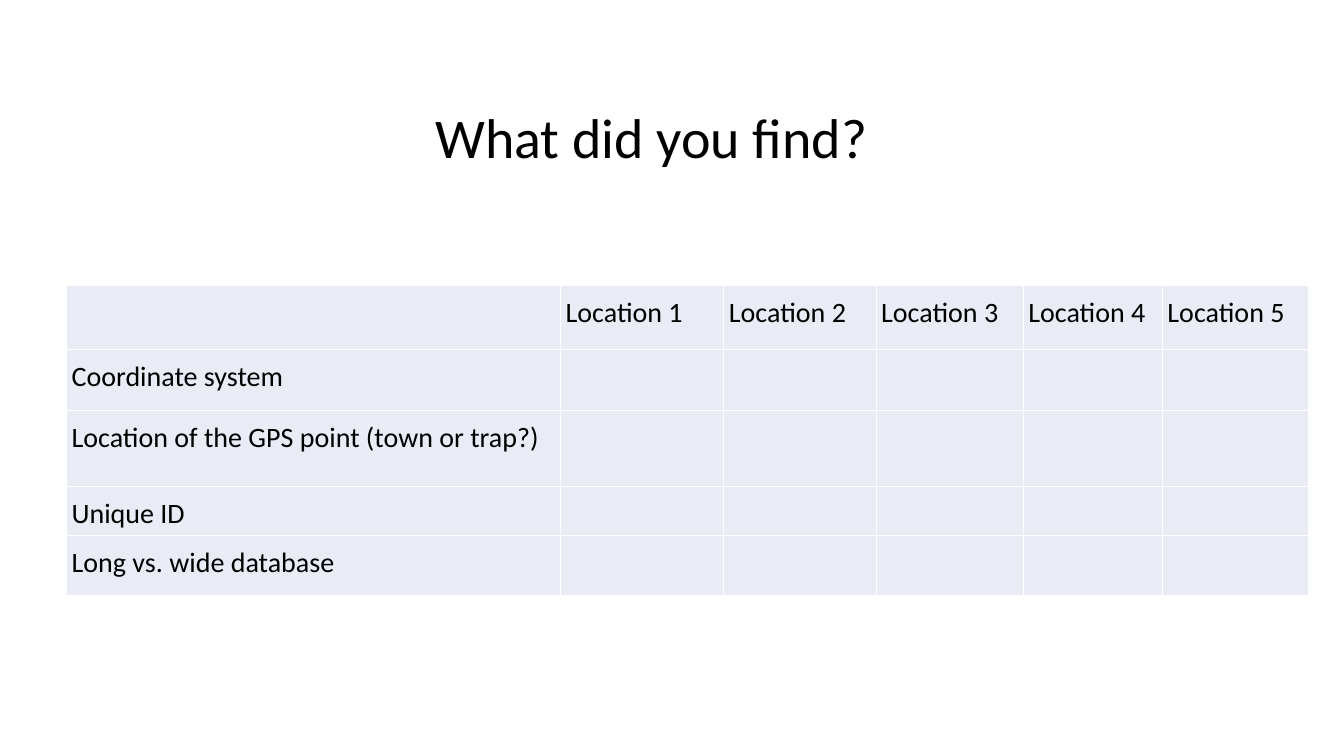
from dataclasses import dataclass

from lxml import etree
from pptx import Presentation
from pptx.dml.color import RGBColor
from pptx.enum.text import MSO_ANCHOR, MSO_AUTO_SIZE, PP_ALIGN
from pptx.oxml.ns import qn
from pptx.slide import Slide
from pptx.table import _Cell
from pptx.text.text import TextFrame
from pptx.util import Emu, Pt

LEFT = PP_ALIGN.LEFT
TOP = MSO_ANCHOR.TOP
GROW = MSO_AUTO_SIZE.SHAPE_TO_FIT_TEXT

BLACK = RGBColor(0x00, 0x00, 0x00)
WHITE = RGBColor(0xFF, 0xFF, 0xFF)
PALE = RGBColor(0xE9, 0xEB, 0xF5)

FONT = "Calibri"
SCALE = 9144
INSET = 5


@dataclass(frozen=True)
class Column:
    head: str
    width: int


@dataclass(frozen=True)
class Row:
    label: str
    height: int


COLUMNS = [Column("", 490)] + [
    Column(f"Location {number}", width)
    for number, width in enumerate((162, 151, 146, 138, 145), start=1)
]
ROWS = [
    Row("", 64),
    Row("Coordinate system", 60),
    Row("Location of the GPS point (town or trap?)", 76),
    Row("Unique ID", 47),
    Row("Long vs. wide database", 60),
]


def px(count: int) -> Emu:
    return Emu(count * SCALE)


def write(frame: TextFrame, text: str, *, size: int, spacing: float = 1.0) -> None:
    frame.text = text
    line = frame.paragraphs[0]
    line.alignment = LEFT
    line.line_spacing = spacing
    line.font.name = FONT
    line.font.size = Pt(size)
    line.font.bold = False
    line.font.color.rgb = BLACK


def border(cell: _Cell) -> None:
    props = cell._tc.get_or_add_tcPr()
    for side in ("lnL", "lnR", "lnT", "lnB"):
        edge = etree.SubElement(props, qn(f"a:{side}"), w=str(Pt(1)))
        fill = etree.SubElement(edge, qn("a:solidFill"))
        etree.SubElement(fill, qn("a:srgbClr"), val=str(WHITE))


def style(cell: _Cell, text: str) -> None:
    cell.margin_left = cell.margin_right = px(INSET)
    cell.margin_top = cell.margin_bottom = px(INSET)
    border(cell)
    cell.fill.solid()
    cell.fill.fore_color.rgb = PALE
    if text:
        write(cell.text_frame, text, size=20, spacing=1.15)


def add_title(slide: Slide) -> None:
    title = slide.shapes.title
    title.left, title.top = px(422), px(97)
    title.width, title.height = px(659), px(77)
    frame = title.text_frame
    write(frame, "What did you find?", size=40)
    frame.word_wrap = True
    frame.vertical_anchor = TOP
    frame.auto_size = GROW


def add_grid(slide: Slide) -> None:
    width = sum(column.width for column in COLUMNS)
    height = sum(row.height for row in ROWS)
    table = slide.shapes.add_table(
        len(ROWS), len(COLUMNS), px(66), px(283), px(width), px(height)
    ).table
    table.first_row = False
    table.horz_banding = False
    for place, column in enumerate(COLUMNS):
        table.columns[place].width = px(column.width)
    for down, row in enumerate(ROWS):
        table.rows[down].height = px(row.height)
        for across, column in enumerate(COLUMNS):
            text = column.head if down == 0 else row.label if across == 0 else ""
            style(table.cell(down, across), text)


def main() -> None:
    deck = Presentation()
    deck.slide_width, deck.slide_height = px(1333), px(750)
    slide = deck.slides.add_slide(deck.slide_layouts[5])
    add_title(slide)
    add_grid(slide)
    deck.save("out.pptx")


if __name__ == "__main__":
    main()
